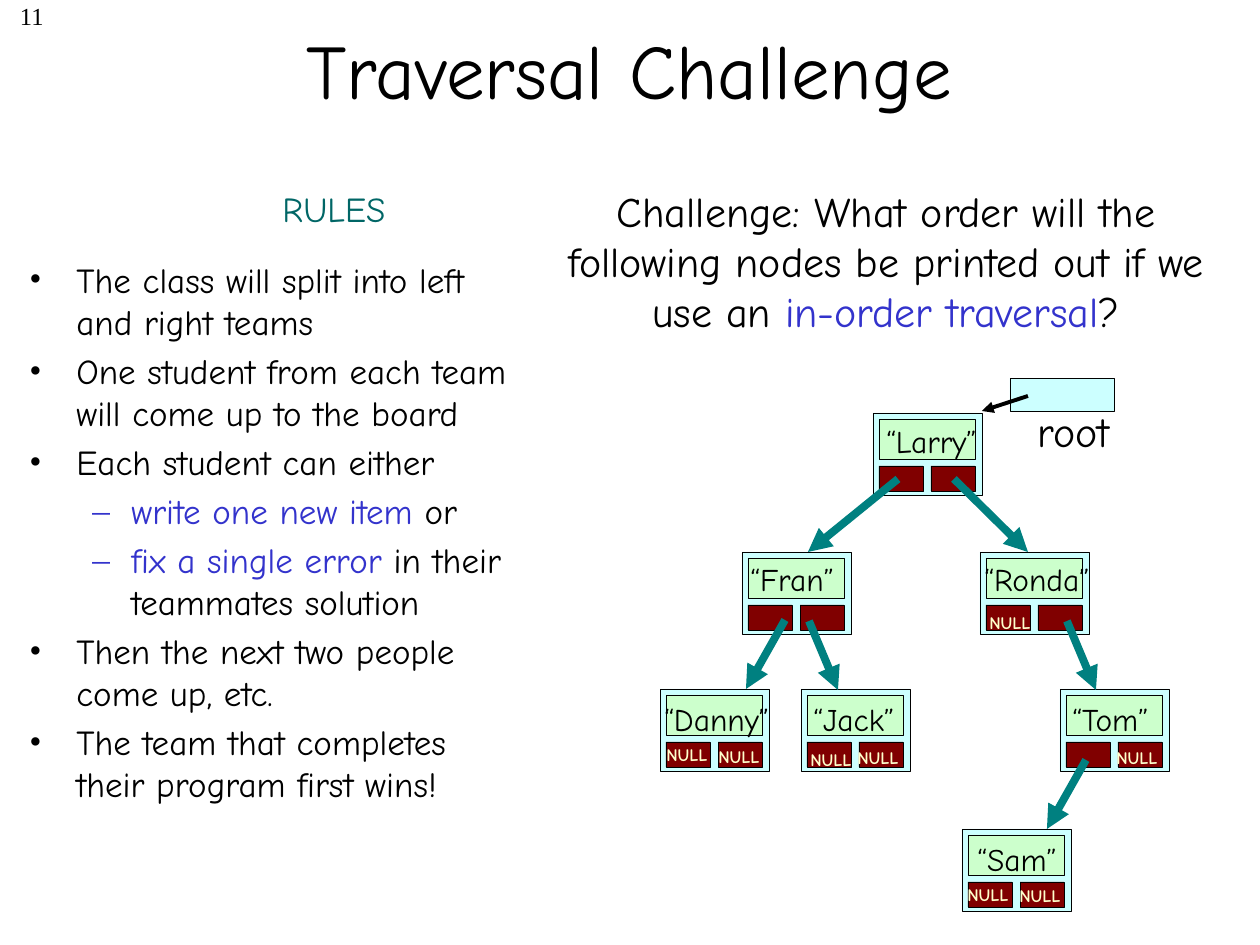
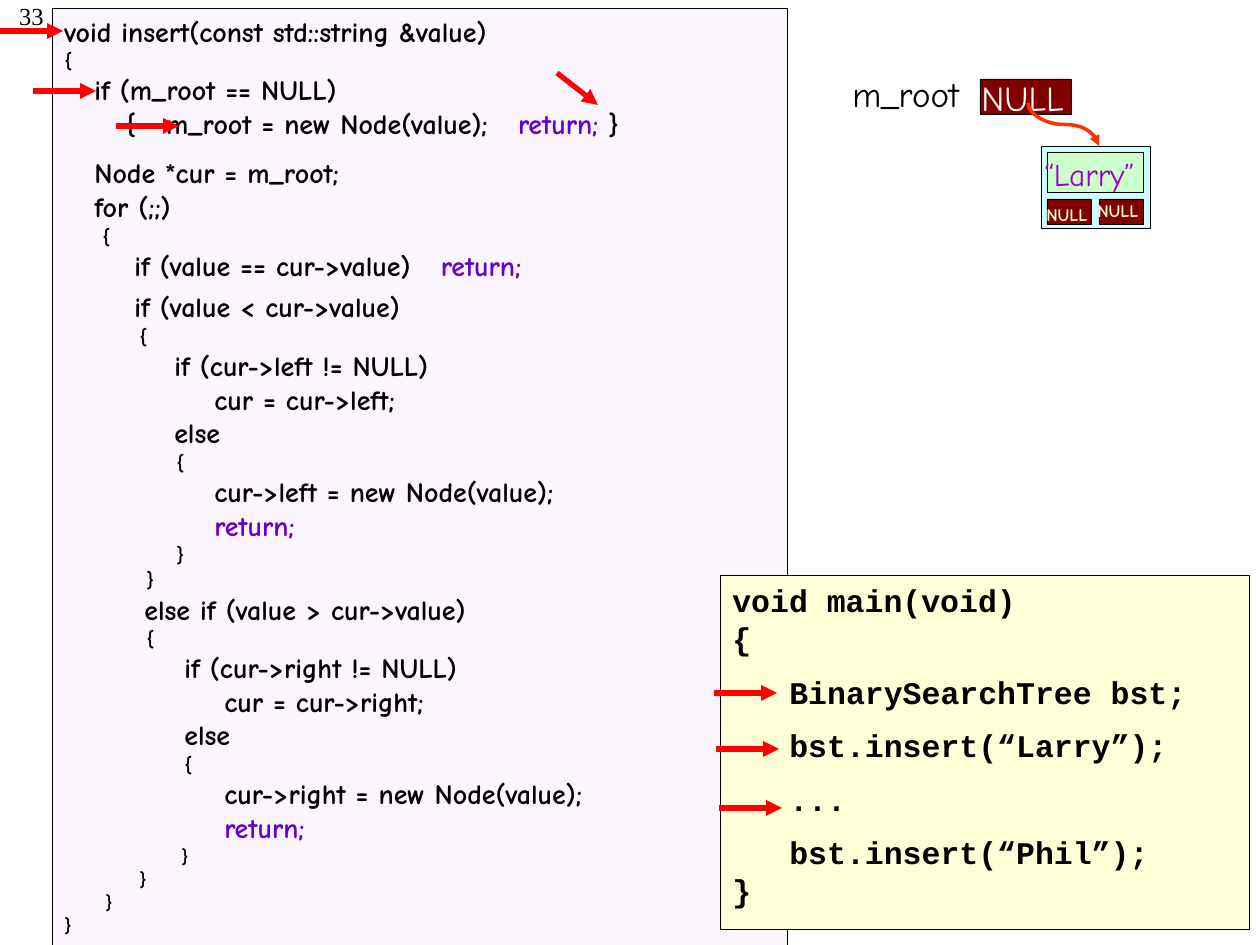
"""Build two slides on binary search trees: a traversal challenge and an insert trace."""
import pptx
import pptx.util
import pptx.dml.color
import pptx.enum.shapes
import pptx.enum.text
import pptx.oxml.ns
import lxml.etree

SCALE = 914400 // 126
HUES = {
    "black": "000000", "blue": "3333CC", "teal": "008080", "green": "006666",
    "sky": "CCFFFF", "mint": "CCFFCC", "maroon": "800000", "cream": "FFFFCC",
    "lilac": "FBF5FD", "lemon": "FFFFD7", "violet": "6600CC", "plum": "9900CC",
    "red": "FF0000", "orange": "FF3300", "pale": "FFFBF7",
}
COMIC, MONO, SERIF = "Comic Neue", "Courier New", "Times New Roman"
ALIGN = pptx.enum.text.PP_ALIGN
KIND = pptx.enum.shapes.MSO_CONNECTOR

RULES = [
    (0, ["The class will split into left and right teams"]),
    (0, ["One student from each team will come up to the board"]),
    (0, ["Each student can either"]),
    (1, [("write one new item", "blue"), " or"]),
    (1, [("fix a single error", "blue"), " in their teammates solution"]),
    (0, ["Then the next two people come up, etc."]),
    (0, ["The team that completes their program first wins!"]),
]
LEVELS = [("\u2022", 47, -47), ("\u2013", 102, -39)]
ASK = ["Challenge: What order will the following nodes be printed out if we use an ",
       ("in-order traversal", "blue"), "?"]

TREE = [
    ("Fran", (742, 552), (738, 554), []),
    ("Larry", (873, 413), (874, 416), []),
    ("Ronda", (980, 552), (972, 554), [(977, 606)]),
    ("Danny", (660, 689), (652, 694), [(654, 738), (706, 740)]),
    ("Jack", (801, 689), (801, 694), [(798, 743), (845, 741)]),
    ("Tom", (1060, 689), (1060, 694), [(1104, 741)]),
    ("Sam", (962, 829), (965, 834), [(955, 878), (1007, 879)]),
]
FIRST = ("Larry", (1041, 146), (1032, 149), [(1034, 198), (1085, 194)])
LINKS = [
    (898, 479, 808, 552), (954, 479, 1028, 552), (785, 620, 746, 689),
    (809, 621, 838, 690), (1067, 621, 1096, 690), (1086, 760, 1047, 829),
]

BACK = ("return;", "violet")
GAP = (" ", "black", 11.5)
CODE = [
    (0, 16, ["void insert(const std::string &value)"]),
    (0, 12, ["{"]),
    (30, 16, ["if (m_root == NULL)"]),
    (61, 16, ["{", GAP, "m_root = new Node(value);", GAP, BACK, " }"]),
    (30, 16, ["Node *cur = m_root;"], 9),
    (30, 16, ["for (;;)"]),
    (38, 12, ["{"]),
    (70, 16, ["if (value == cur->value)", GAP, BACK]),
    (70, 16, ["if (value < cur->value)"], 4.5),
    (75, 12, ["{"]),
    (110, 16, ["if (cur->left != NULL)"]),
    (150, 16, ["cur = cur->left;"]),
    (110, 16, ["else"]),
    (112, 12, ["{"]),
    (150, 16, ["cur->left = new Node(value);"]),
    (150, 16, [BACK]),
    (112, 12, ["}"]),
    (82, 12, ["}"]),
    (80, 16, ["else if (value > cur->value)"]),
    (82, 12, ["{"]),
    (120, 16, ["if (cur->right != NULL)"]),
    (160, 16, ["cur = cur->right;"]),
    (120, 16, ["else"]),
    (120, 12, ["{"]),
    (160, 16, ["cur->right = new Node(value);"]),
    (160, 16, [BACK]),
    (117, 11, ["}"]),
    (75, 11, ["}"]),
    (41, 11, ["}"]),
    (0, 11, ["}"]),
]
MAIN = [
    (0, 18, ["void main(void)"]),
    (0, 18, ["{"]),
    (57, 18, ["BinarySearchTree bst;"], 9),
    (57, 18, ["bst.insert(\u201cLarry\u201d);"], 9),
    (57, 18, ["..."], 9),
    (57, 18, ["bst.insert(\u201cPhil\u201d);"], 9),
    (0, 18, ["}"]),
]
STEPS = [
    (714, 693, 777, 693), (716, 749, 779, 749), (719, 808, 782, 808),
    (0, 31, 63, 31), (33, 91, 96, 91), (116, 126, 179, 126), (557, 73, 598, 105),
]


def px(*nums):
    return [pptx.util.Emu(round(n * SCALE)) for n in nums]


def hue(name):
    return pptx.dml.color.RGBColor.from_string(HUES[name])


def sub(node, tag, **attrs):
    return lxml.etree.SubElement(node, pptx.oxml.ns.qn(tag), **attrs)


def rect(slide, box, fill):
    shape = slide.shapes.add_shape(pptx.enum.shapes.MSO_SHAPE.RECTANGLE, *px(*box))
    shape.shadow.inherit = False
    shape.fill.solid()
    shape.fill.fore_color.rgb = hue(fill)
    shape.line.color.rgb = hue("black")
    shape.line.width = pptx.util.Pt(0.25)
    return shape


def style(para, parts, size, face=COMIC, tint="black", bold=False, align=ALIGN.LEFT):
    para.alignment = align
    font = para.font
    font.name, font.size, font.bold = face, pptx.util.Pt(size), bold
    font.color.rgb = hue(tint)
    for part in parts:
        words, *extra = [part] if isinstance(part, str) else part
        run = para.add_run()
        run.text = words
        if extra:
            run.font.color.rgb = hue(extra[0])
        if len(extra) > 1:
            run._r.get_or_add_rPr().set("spc", str(round(extra[1] * 100)))


def text(slide, box, parts, size, **look):
    frame = slide.shapes.add_textbox(*px(*box)).text_frame
    frame.word_wrap = True
    style(frame.paragraphs[0], parts, size, **look)
    return frame


def paras(frame, rows):
    for i, row in enumerate(rows):
        yield (frame.add_paragraph() if i else frame.paragraphs[0]), row


def dent(para, left, first):
    props = para._p.get_or_add_pPr()
    props.set("marL", str(px(left)[0]))
    props.set("indent", str(px(first)[0]))
    return props


def arrow(slide, ends, tint, width, kind=KIND.STRAIGHT):
    line = slide.shapes.add_connector(kind, *px(*ends))
    line.line.color.rgb = hue(tint)
    line.line.width = pptx.util.Pt(width)
    sub(line.line._get_or_add_ln(), "a:tailEnd", type="triangle")
    sub(line._element.spPr, "a:effectLst")
    return line


def node(slide, item, tint="black"):
    name, (x, y), spot, nulls = item
    rect(slide, (x, y, 109, 82), "sky")
    for step in (6, 58):
        rect(slide, (x + step, y + 53, 44, 25), "maroon")
    rect(slide, (x + 6, y + 6, 96, 40), "mint")
    text(slide, (*spot, 150, 50), [f"\u201c{name}\u201d"], 18, tint=tint)
    for cell in nulls:
        text(slide, (*cell, 76, 34), ["NULL"], 10, tint="cream", bold=True)


def code(slide, box, fill, rows, face):
    frame = rect(slide, box, fill).text_frame
    frame.word_wrap = True
    frame.vertical_anchor = pptx.enum.text.MSO_ANCHOR.TOP
    for para, (left, size, parts, *gap) in paras(frame, rows):
        para.space_before = pptx.util.Pt(sum(gap))
        dent(para, left, 0)
        style(para, parts, size, face, bold=True)


def rules(slide, box):
    frame = slide.shapes.add_textbox(*px(*box)).text_frame
    frame.word_wrap = True
    for para, (level, parts) in paras(frame, RULES):
        mark, left, first = LEVELS[level]
        para.level = level
        para.space_before = pptx.util.Pt(4)
        props = dent(para, left, first)
        sub(props, "a:buFont", typeface=SERIF)
        sub(props, "a:buChar", char=mark)
        style(para, parts, 20)


def page(deck, number):
    slide = deck.slides.add_slide(deck.slide_layouts[6])
    text(slide, (0, -5, 56, 63), [number], 14, face=SERIF, align=ALIGN.RIGHT)
    return slide


def quiz(deck):
    slide = page(deck, "11")
    title = text(slide, (94, -10, 1071, 158), ["Traversal Challenge"], 44,
                 align=ALIGN.CENTER)
    title.vertical_anchor = pptx.enum.text.MSO_ANCHOR.MIDDLE
    text(slide, (546, 179, 680, 164), ASK, 24, align=ALIGN.CENTER)
    for item in TREE:
        node(slide, item)
    for ends in LINKS:
        arrow(slide, ends, "teal", 4.5)
    rect(slide, (1010, 378, 104, 33), "sky")
    text(slide, (1025, 399, 120, 63), ["root"], 24)
    arrow(slide, (1028, 396, 982, 411), "black", 2.25)
    rules(slide, (17, 252, 508, 651))
    text(slide, (270, 181, 145, 54), ["RULES"], 20, tint="green")


def trace(deck):
    slide = page(deck, "33")
    code(slide, (52, 8, 735, 939), "lilac", CODE, COMIC)
    code(slide, (720, 575, 529, 354), "lemon", MAIN, MONO)
    rect(slide, (980, 79, 91, 35), "maroon")
    text(slide, (840, 66, 150, 54), ["m_root"], 20)
    text(slide, (969, 70, 125, 54), ["NULL"], 20, tint="pale")
    node(slide, FIRST, "plum")
    bend = arrow(slide, (1085, 89, 1042, 160), "orange", 2, KIND.CURVE)
    bend._element.spPr.find(pptx.oxml.ns.qn("a:xfrm")).set("rot", "16200000")
    for ends in STEPS:
        arrow(slide, ends, "red", 3)


deck = pptx.Presentation()
deck.slide_width, deck.slide_height = px(1260, 945)
quiz(deck)
trace(deck)
deck.save("out.pptx")
